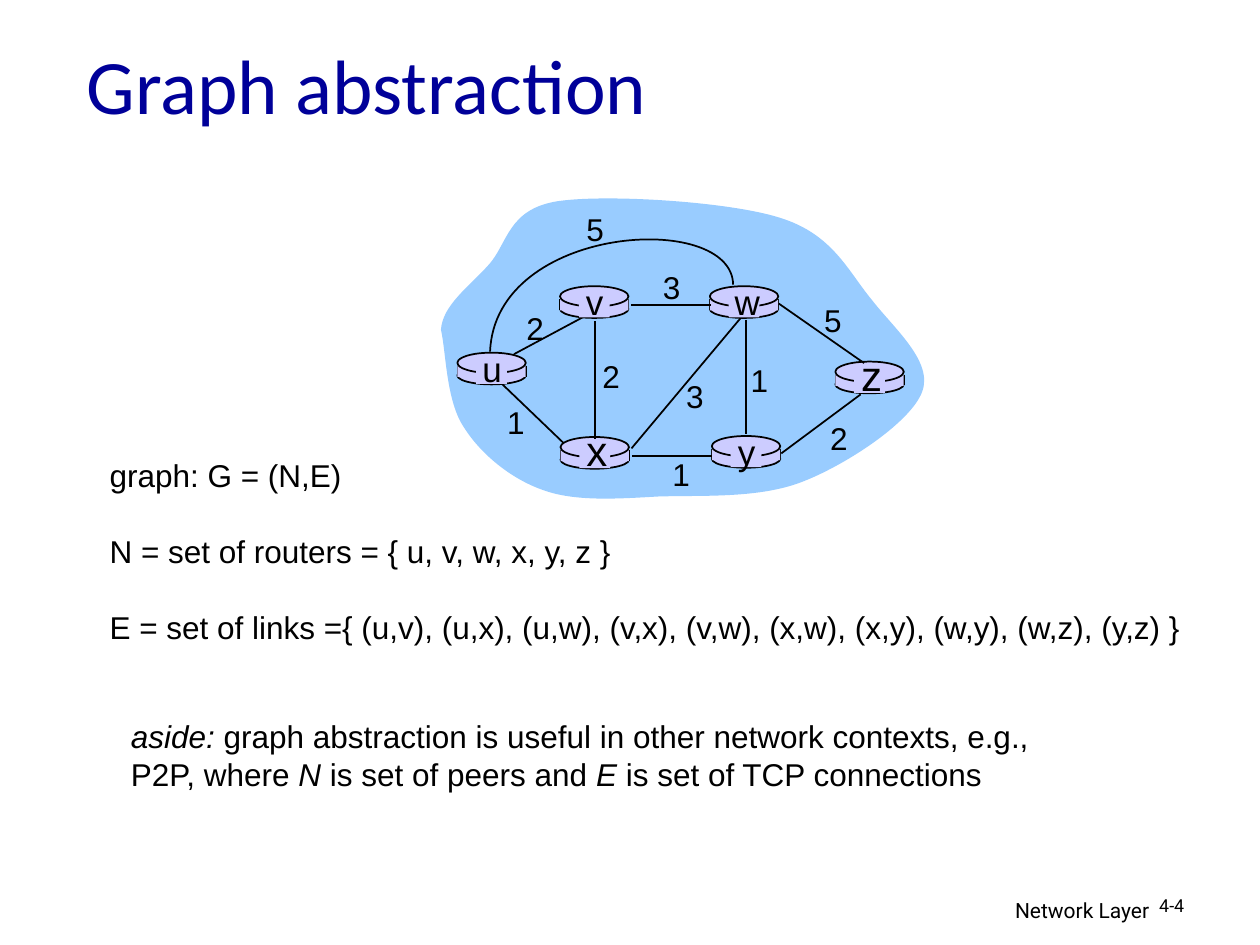
from lxml import etree
from pptx import Presentation
from pptx.dml.color import RGBColor
from pptx.enum.shapes import MSO_CONNECTOR, MSO_SHAPE
from pptx.enum.text import MSO_ANCHOR, PP_ALIGN
from pptx.oxml.ns import qn
from pptx.util import Cm, Pt

LEFT, CENTER, RIGHT = PP_ALIGN.LEFT, PP_ALIGN.CENTER, PP_ALIGN.RIGHT
MIDDLE = MSO_ANCHOR.MIDDLE
OVAL, RECTANGLE = MSO_SHAPE.OVAL, MSO_SHAPE.RECTANGLE
STRAIGHT = MSO_CONNECTOR.STRAIGHT
BLACK = RGBColor(0x00, 0x00, 0x00)
NAVY = RGBColor(0x00, 0x00, 0x99)
SKY = RGBColor(0x99, 0xCC, 0xFF)
LAVENDER = RGBColor(0xCC, 0xCC, 0xFF)

TITLE = "Graph abstraction"
FOOTER = "Network Layer"
PAGE = "4-4"
DEFINITIONS = [
    "graph: G = (N,E)",
    "N = set of routers = { u, v, w, x, y, z }",
    "E = set of links ={ (u,v), (u,x), (u,w), (v,x), (v,w), (x,w), (x,y), (w,y), (w,z), (y,z) }",
]
ASIDE = [
    [("aside:", True), (" graph abstraction is useful in other network contexts, e.g.,", False)],
    [("P2P, where ", False), ("N", True), (" is set of peers and ", False),
     ("E", True), (" is set of TCP connections", False)],
]

CLOUD = [
    (8.89, 6.65),
    (8.92, 6.15), (9.47, 5.77), (9.86, 5.33),
    (10.24, 4.9), (10.24, 4.22), (11.23, 4.06),
    (12.19, 3.91), (14.68, 4.06), (15.72, 4.39),
    (16.79, 4.72), (17.09, 5.46), (17.58, 6.05),
    (18.03, 6.63), (18.82, 7.29), (18.59, 7.9),
    (18.36, 8.51), (17.09, 9.35), (16.21, 9.7),
    (15.32, 10.06), (14.15, 9.98), (13.26, 10.01),
    (12.4, 10.06), (11.58, 10.11), (10.95, 9.88),
    (10.29, 9.65), (9.68, 9.14), (9.35, 8.61),
    (8.99, 8.08), (8.99, 7.06), (8.89, 6.65),
]
ARC_U_W = [(14.78, 5.74), (14.76, 4.24), (9.98, 4.52), (9.88, 7.09)]
LINK_U_V = (10.36, 7.14, 11.89, 6.32)
LINKS = [
    (15.04, 6.45, 15.04, 8.74),
    (11.99, 6.48, 11.99, 8.84),
    (12.73, 9.04, 14.94, 6.4),
    (15.75, 9.14, 17.35, 7.95),
    (14.35, 9.19, 12.75, 9.19),
    (11.35, 8.92, 10.13, 7.75),
    (14.33, 6.15, 12.73, 6.15),
    (17.42, 7.32, 15.7, 6.12),
]
ROUTERS = [
    ("u", 9.22, 7.11, 20), ("x", 11.3, 8.81, 24), ("v", 11.29, 5.77, 20),
    ("w", 14.31, 5.77, 20), ("y", 14.35, 8.79, 20), ("z", 16.84, 7.29, 24),
]
COSTS = [
    ("2", 10.36, 6.1), ("2", 11.89, 7.07), ("1", 9.97, 8.0), ("3", 13.58, 7.47),
    ("1", 13.3, 9.04), ("1", 14.88, 7.15), ("2", 16.48, 8.32), ("5", 16.36, 5.94),
    ("3", 13.11, 5.28), ("5", 11.57, 4.1),
]
ROUTER_WIDTH = 1.38
NAME_BOXES = {20: (0.25, 0.23, 0.9, 1.12), 24: (0.27, 0.37, 0.91, 1.27)}

presentation = Presentation()
presentation.slide_width, presentation.slide_height = Cm(25.4), Cm(19.05)
slide = presentation.slides.add_slide(presentation.slide_layouts[5])
shapes = slide.shapes


def write(frame, paragraphs, size=18, font="Arial", color=BLACK, align=LEFT,
          wrap=True, spacing=None, before=0):
    frame.word_wrap = wrap
    for index, runs in enumerate(paragraphs):
        paragraph = frame.paragraphs[0] if index == 0 else frame.add_paragraph()
        paragraph.alignment = align
        paragraph.line_spacing = spacing
        paragraph.space_before = Pt(before if index else 0)
        for text, italic in [(runs, False)] if isinstance(runs, str) else runs:
            run = paragraph.add_run()
            run.text = text
            run.font.size, run.font.name = Pt(size), font
            run.font.italic = italic
            run.font.color.rgb = color


def add_text(paragraphs, left, top, width, height, **text_format):
    box = shapes.add_textbox(Cm(left), Cm(top), Cm(width), Cm(height))
    write(box.text_frame, paragraphs, **text_format)


def paint(shape, fill=None, outlined=False):
    shape.shadow.inherit = False
    if fill is None:
        shape.fill.background()
    else:
        shape.fill.solid()
        shape.fill.fore_color.rgb = fill
    if outlined:
        shape.line.color.rgb, shape.line.width = BLACK, Pt(1)
    else:
        shape.line.fill.background()


def add_block(kind, left, top, width, height, outlined=False):
    shape = shapes.add_shape(kind, Cm(left), Cm(top), Cm(width), Cm(height))
    paint(shape, LAVENDER, outlined)


def add_line(x1, y1, x2, y2):
    line = shapes.add_connector(STRAIGHT, Cm(x1), Cm(y1), Cm(x2), Cm(y2))
    line.line.color.rgb, line.line.width = BLACK, Pt(1)
    etree.SubElement(line._element.spPr, qn("a:effectLst"))


def add_curve(points, closed=False, **look):
    corners = [(Cm(x), Cm(y)) for x, y in points]
    builder = shapes.build_freeform(*corners[0])
    builder.add_line_segments(corners[1:], close=closed)
    shape = builder.convert_to_shape()
    segments = list(shape._element.spPr.iter(qn("a:lnTo")))
    for start in range(0, len(segments), 3):
        curve = etree.Element(qn("a:cubicBezTo"))
        segments[start].addprevious(curve)
        for segment in segments[start:start + 3]:
            curve.append(segment[0])
            segment.getparent().remove(segment)
    paint(shape, **look)


def add_router(left, top):
    add_block(OVAL, left, top + 0.28, ROUTER_WIDTH, 0.36, outlined=True)
    for x in (left, left + ROUTER_WIDTH):
        add_line(x, top + 0.26, x, top + 0.48)
    add_block(RECTANGLE, left, top + 0.26, ROUTER_WIDTH, 0.23)
    add_block(OVAL, left, top, ROUTER_WIDTH, 0.41, outlined=True)


title = shapes.title
title.left, title.top, title.width, title.height = Cm(1.49), Cm(0.58), Cm(21.59), Cm(2.21)
title.text_frame.vertical_anchor = MIDDLE
write(title.text_frame, [TITLE], size=44, font="Calibri", color=NAVY)

add_text([FOOTER], 15.37, 17.96, 8.05, 0.79, size=12, font="Roboto", align=RIGHT)
add_text([PAGE], 23.12, 17.96, 1.88, 0.76, size=10.2, font="Roboto", spacing=0.9)

add_curve(CLOUD, closed=True, fill=SKY)
add_line(*LINK_U_V)
for name, left, top, size in ROUTERS:
    add_router(left, top)
for link in LINKS:
    add_line(*link)
add_curve(ARC_U_W, outlined=True)
for name, left, top, size in ROUTERS:
    add_block(RECTANGLE, left + 0.38, top + 0.05, 0.62, 0.58)
    inset, rise, width, height = NAME_BOXES[size]
    add_text([name], left + inset, top - rise, width, height,
             size=size, align=CENTER, wrap=False)
for cost, left, top in COSTS:
    add_text([cost], left, top, 0.86, 1.02, align=CENTER, wrap=False)

add_text(DEFINITIONS, 1.96, 9.07, 22.3, 4.06, before=21.7)
add_text(ASIDE, 2.39, 14.33, 20.4, 1.78)

presentation.save("out.pptx")
